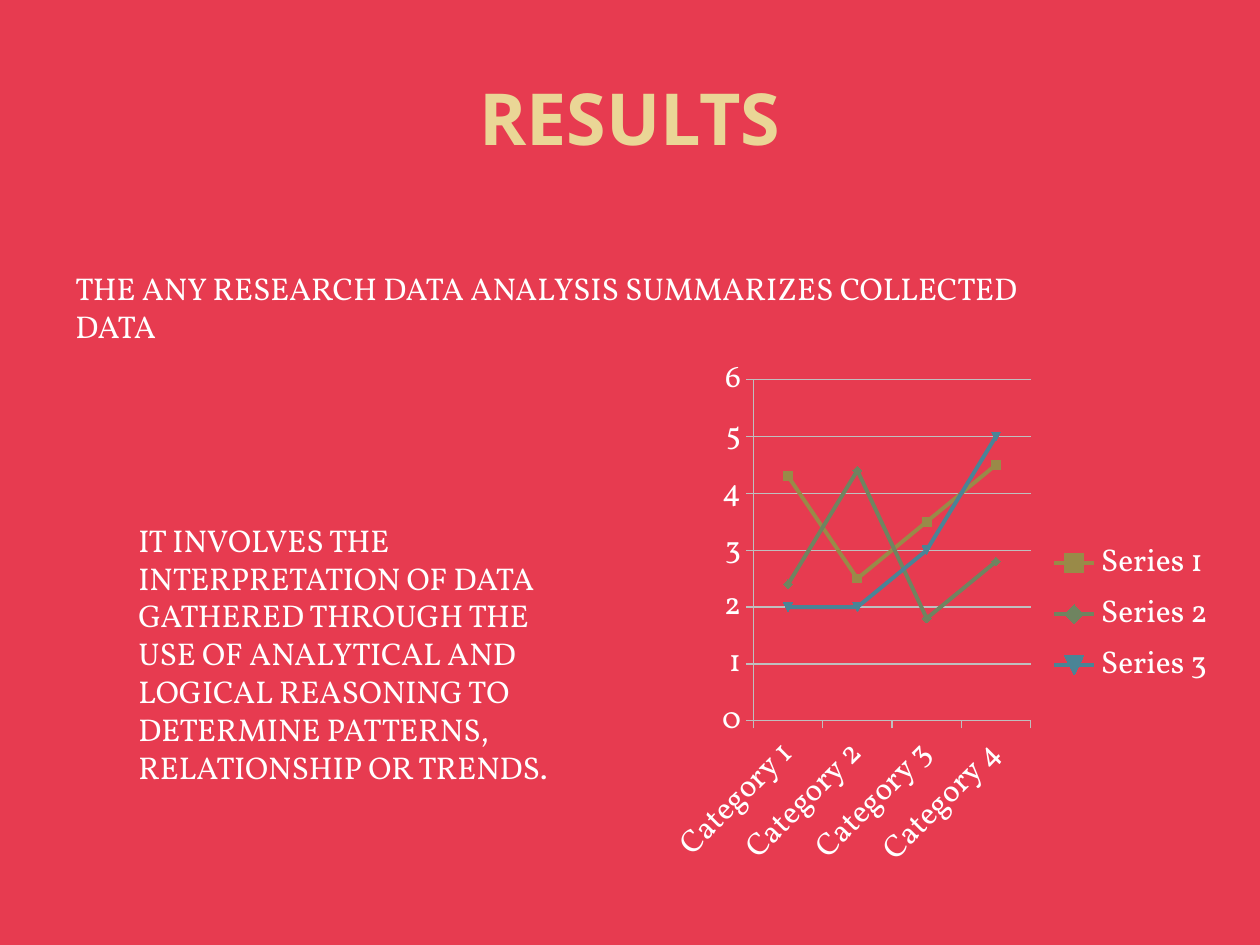
from dataclasses import dataclass

from pptx import Presentation
from pptx.chart.data import CategoryChartData
from pptx.dml.color import RGBColor as RGB
from pptx.enum.chart import XL_CHART_TYPE as ChartType
from pptx.enum.chart import XL_LEGEND_POSITION as LegendPos
from pptx.enum.chart import XL_TICK_MARK as Tick
from pptx.enum.text import MSO_ANCHOR as Anchor
from pptx.enum.text import MSO_AUTO_SIZE as AutoSize
from pptx.enum.text import PP_ALIGN as Align
from pptx.util import Pt


@dataclass(frozen=True)
class Theme:
    background: str = "E73B50"
    text: str = "FFFFFF"
    title_stops: tuple = (("EAD696", 0.73), ("E7D081", 1))
    grid: str = "BFBFBF"
    series: tuple = ("998A48", "6F8460", "4A8496")
    title_font: str = "Open Sans"
    body_font: str = "Vollkorn"
    title_size: float = 41
    body_size: float = 18
    grid_width: float = 0.75
    series_width: float = 2.25


class Deck:
    """Builds slides in one theme, with lengths in points."""

    def __init__(self, theme, width, height):
        self.theme = theme
        self.prs = Presentation()
        self.prs.slide_width, self.prs.slide_height = Pt(width), Pt(height)

    def add_slide(self):
        self.s = self.prs.slides.add_slide(self.prs.slide_layouts[5])
        fill = self.s.background.fill
        fill.solid()
        fill.fore_color.rgb = RGB.from_string(self.theme.background)

    def style_body(self, font):
        font.name = self.theme.body_font
        font.size = Pt(self.theme.body_size)
        font.color.rgb = RGB.from_string(self.theme.text)

    def style_line(self, line, color, width):
        line.color.rgb = RGB.from_string(color)
        line.width = Pt(width)

    def title(self, text, x, y, w, h):
        sp = self.s.shapes.title
        sp.left, sp.top, sp.width, sp.height = map(Pt, (x, y, w, h))
        tf = sp.text_frame
        tf.text = text
        tf.vertical_anchor = Anchor.MIDDLE
        p = tf.paragraphs[0]
        p.alignment = Align.CENTER
        r = p.runs[0]
        r.font.name = self.theme.title_font
        r.font.size = Pt(self.theme.title_size)
        r.font.bold = True
        r.font.fill.gradient()
        r.font.fill.gradient_angle = 280
        for stop, (color, position) in zip(
            r.font.fill.gradient_stops, self.theme.title_stops
        ):
            stop.color.rgb = RGB.from_string(color)
            stop.position = position

    def text(self, lines, x, y, w, h):
        tf = self.s.shapes.add_textbox(*map(Pt, (x, y, w, h))).text_frame
        tf.word_wrap = True
        tf.auto_size = AutoSize.SHAPE_TO_FIT_TEXT
        tf.text = "\n".join(lines)
        for p in tf.paragraphs:
            self.style_body(p.font)

    def line_chart(self, categories, series, x, y, w, h):
        theme = self.theme
        data = CategoryChartData()
        data.categories = categories
        for name, values in series.items():
            data.add_series(name, values)
        chart = self.s.shapes.add_chart(
            ChartType.LINE_MARKERS, *map(Pt, (x, y, w, h)), data
        ).chart
        self.style_body(chart.font)
        chart.has_title = False
        chart.has_legend = True
        chart.legend.position = LegendPos.RIGHT
        chart.legend.include_in_layout = False

        values_axis = chart.value_axis
        values_axis.minimum_scale, values_axis.maximum_scale = 0, 6
        values_axis.major_unit = 1
        values_axis.has_major_gridlines = True
        for axis in (chart.category_axis, values_axis):
            axis.major_tick_mark = Tick.OUTSIDE
            axis.minor_tick_mark = Tick.NONE
        for part in (chart.category_axis, values_axis, values_axis.major_gridlines):
            self.style_line(part.format.line, theme.grid, theme.grid_width)

        plot = chart.plots[0]
        plot.vary_by_categories = False
        for ser, color in zip(plot.series, theme.series):
            ser.smooth = False
            self.style_line(ser.format.line, color, theme.series_width)
            marker = ser.marker.format
            marker.fill.solid()
            marker.fill.fore_color.rgb = RGB.from_string(color)
            marker.line.color.rgb = RGB.from_string(color)


def main():
    deck = Deck(Theme(), 720, 540)
    deck.add_slide()
    deck.title("RESULTS", 36, 21.6, 648, 90)
    deck.text(
        ["THE ANY RESEARCH DATA ANALYSIS SUMMARIZES COLLECTED DATA"],
        36, 150, 570, 51,
    )
    deck.text(
        [
            "IT INVOLVES THE INTERPRETATION OF DATA",
            "GATHERED THROUGH THE USE OF ANALYTICAL AND",
            "LOGICAL REASONING TO DETERMINE PATTERNS,",
            "RELATIONSHIP OR TRENDS.",
        ],
        72, 294, 252, 154,
    )
    deck.line_chart(
        [f"Category {n}" for n in range(1, 5)],
        {
            "Series 1": (4.3, 2.5, 3.5, 4.5),
            "Series 2": (2.4, 4.4, 1.8, 2.8),
            "Series 3": (2, 2, 3, 5),
        },
        378, 198, 324, 306,
    )
    deck.prs.save("out.pptx")


if __name__ == "__main__":
    main()
